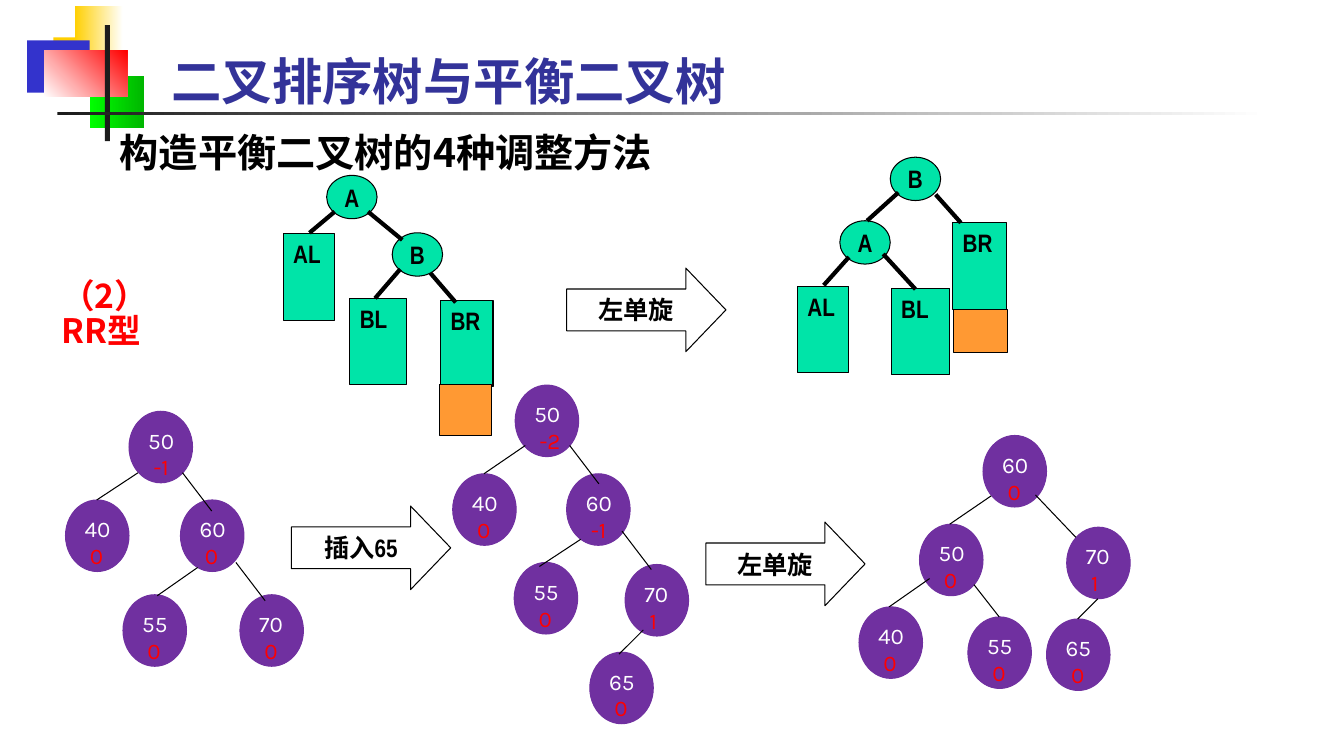
"""Build the slide on the RR case of balancing a binary search tree."""
from lxml import etree
from pptx import Presentation
from pptx.dml.color import RGBColor
from pptx.enum.shapes import MSO_CONNECTOR, MSO_SHAPE as SHAPE
from pptx.enum.text import MSO_ANCHOR as ANCHOR, PP_ALIGN as ALIGN
from pptx.oxml.ns import qn
from pptx.util import Inches, Pt

CJK = "Noto Sans CJK SC"
LABEL = dict(size=18, font="Arial Narrow", bold=True)
CENTRED = dict(LABEL, anchor=ANCHOR.MIDDLE, align=ALIGN.CENTER)
rgb = RGBColor.from_string


def put(shapes, kind, at, text=(), fill=None, line=None, size=18, font=CJK, colors=("000000",),
        bold=False, anchor=ANCHOR.TOP, align=ALIGN.LEFT, wrap=False, spacing=None):
    """Add a shape, or a text box when kind is None, with one paragraph per text item."""
    box = [Inches(v) for v in at]
    sp = shapes.add_shape(kind, *box) if kind else shapes.add_textbox(*box)
    if kind:
        sp.shadow.inherit = False
        if fill:
            sp.fill.solid()
            sp.fill.fore_color.rgb = rgb(fill)
        if line:
            sp.line.color.rgb = rgb(line)
            sp.line.width = Pt(0.75)
        else:
            sp.line.fill.background()
    tf = sp.text_frame
    tf.word_wrap = wrap
    tf.vertical_anchor = anchor
    for i, words in enumerate(text):
        p = tf.add_paragraph() if i else tf.paragraphs[0]
        p.alignment = align
        p.line_spacing = spacing
        for j, part in enumerate(words.split("\v")):
            if j:
                p.add_line_break()
            r = p.add_run()
            r.text = part
            r.font.size = Pt(size)
            r.font.name = font
            r.font.bold = bold
            r.font.color.rgb = rgb(colors[i])
            etree.SubElement(r._r.get_or_add_rPr(), qn("a:ea"), typeface=CJK)
    return sp


def link(shapes, x1, y1, x2, y2, width):
    """Add a black branch between two points."""
    c = shapes.add_connector(MSO_CONNECTOR.STRAIGHT, Inches(x1), Inches(y1), Inches(x2), Inches(y2))
    c.line.color.rgb = rgb("000000")
    c.line.width = Pt(width)
    etree.SubElement(c._element.spPr, qn("a:effectLst"))


prs = Presentation()
prs.slide_width, prs.slide_height = Inches(13.33), Inches(7.5)
s = prs.slides.add_slide(prs.slide_layouts[6])

ornaments = [
    ((0.53, 0.37, 0.64, 0.52), ["FFCF01"], 0),
    ((0.74, 0.06, 0.48, 0.52), ["FFCF01", "FFFFFF"], 0),
    ((0.27, 0.4, 0.62, 0.52), ["3333CC"], 0),
    ((0.89, 0.75, 0.54, 0.52), ["00FF00", "00B600"], 0),
    ((0.44, 0.5, 0.82, 0.46), ["FFFFFF", "FF0000"], 45),
    ((1.04, 0.25, 0.05, 1.15), ["1C1C1C"], 0),
    ((0.57, 1.11, 12, 0.03), ["1C1C1C", "FFFFFF"], 0),
]
for at, shades, angle in ornaments:
    sp = put(s.shapes, SHAPE.RECTANGLE, at, fill=shades[0])
    if len(shades) == 2:
        sp.fill.gradient()
        sp.fill.gradient_angle = angle
        for stop, shade in zip(sp.fill.gradient_stops, shades):
            stop.color.rgb = rgb(shade)

put(s.shapes, None, (1.6, 0.45, 7.08, 0.7), ["二叉排序树与平衡二叉树"], size=36, font="Arial Narrow",
    colors=["333399"], bold=True, anchor=ANCHOR.MIDDLE, wrap=True)
subtitle = put(s.shapes, None, (1.09, 0.97, 10.08, 1.29), ["构造平衡二叉树的4种调整方法"], size=28,
               bold=True, anchor=ANCHOR.BOTTOM, wrap=True)
subtitle.text_frame.margin_bottom = Inches(0.52)
put(s.shapes, None, (0.51, 2.73, 1.72, 0.5), ["（2）\vRR型"], size=24, colors=["FF0000"],
    bold=True, spacing=0.87)

schemes = [
    dict(
        nodes=[("A", 3.24, 1.74), ("B", 3.89, 2.31)],
        subtrees=[("AL", 2.81, 2.32, 0.51), ("BR", 4.37, 2.98, 0.52), ("BL", 3.47, 2.96, 0.56)],
        branches=[(3.32, 2.1, 3.07, 2.31), (3.65, 2.1, 3.99, 2.38),
                  (3.97, 2.67, 3.72, 2.96), (4.27, 2.71, 4.52, 3)],
        inserted=(4.36, 3.81, 0.52, 0.51)),
    dict(
        nodes=[("A", 8.33, 2.19), ("B", 8.83, 1.56)],
        subtrees=[("AL", 7.91, 2.84, 0.51), ("BR", 9.45, 2.21, 0.53), ("BL", 8.84, 2.86, 0.58)],
        branches=[(8.91, 1.91, 8.6, 2.19), (8.76, 2.52, 9.08, 2.87),
                  (8.42, 2.55, 8.17, 2.83), (9.28, 1.93, 9.53, 2.21)],
        inserted=(9.46, 3.07, 0.53, 0.43)),
]
for scheme in schemes:
    group = s.shapes.add_group_shape().shapes
    for name, x, y in scheme["nodes"]:
        put(group, SHAPE.OVAL, (x, y, 0.5, 0.43), [name], fill="00E4A8", line="000000", **CENTRED)
    for name, x, y, w in scheme["subtrees"]:
        put(group, SHAPE.RECTANGLE, (x, y, w, 0.86), [name], fill="00E4A8", line="000000",
            wrap=True, **LABEL)
    for branch in scheme["branches"]:
        link(group, *branch, 3)
    put(group, SHAPE.RECTANGLE, scheme["inserted"], fill="FF9933", line="000000")

trees = [
    ([(50, -1, 1.28, 4.08), (40, 0, 0.65, 4.96), (60, 0, 1.79, 4.96),
      (55, 0, 1.22, 5.9), (70, 0, 2.38, 5.9)],
     [(1.37, 4.69, 0.96, 4.96), (1.81, 4.69, 2.1, 5.07),
      (1.96, 5.63, 1.56, 5.91), (2.34, 5.58, 2.63, 5.96)]),
    ([(50, -2, 5.11, 3.82), (40, 0, 4.49, 4.7), (60, -1, 5.62, 4.7),
      (55, 0, 5.1, 5.58), (70, 1, 6.2, 5.6), (65, 0, 5.85, 6.47)],
     [(5.21, 4.42, 4.8, 4.7), (5.65, 4.42, 5.94, 4.8), (5.76, 5.35, 5.35, 5.62),
      (6.17, 5.27, 6.46, 5.65), (6.38, 6.25, 6.14, 6.49)]),
    ([(55, 0, 9.6, 6.12), (60, 0, 9.75, 4.32), (65, 0, 10.38, 6.14),
      (50, 0, 9.12, 5.2), (70, 1, 10.58, 5.23), (40, 0, 8.52, 6.02)],
     [(9.66, 5.8, 9.91, 6.12), (10.89, 5.94, 10.69, 6.14), (9.83, 4.92, 9.42, 5.2),
      (10.27, 4.91, 10.67, 5.33), (9.22, 5.74, 8.82, 6.02)]),
]
for nodes, branches in trees:
    group = s.shapes.add_group_shape().shapes
    for key, balance, x, y in nodes:
        put(group, SHAPE.OVAL, (x, y, 0.63, 0.71), [f"{key}", f" {balance}"], fill="7030A0",
            line="7030A0", size=16, font="Karla", colors=["FFFFFF", "FF0000"])
    for branch in branches:
        link(group, *branch, 0.75)

for step, x, y in [("左单旋", 5.62, 2.66), ("插入65", 2.89, 5.02), ("左单旋", 7, 5.18)]:
    arrow = put(s.shapes, SHAPE.RIGHT_ARROW, (x, y, 1.58, 0.83), [step], fill="FFFFFF",
                line="000000", **CENTRED)
    arrow.adjustments[0], arrow.adjustments[1] = 0.5, 0.48

prs.save("out.pptx")
